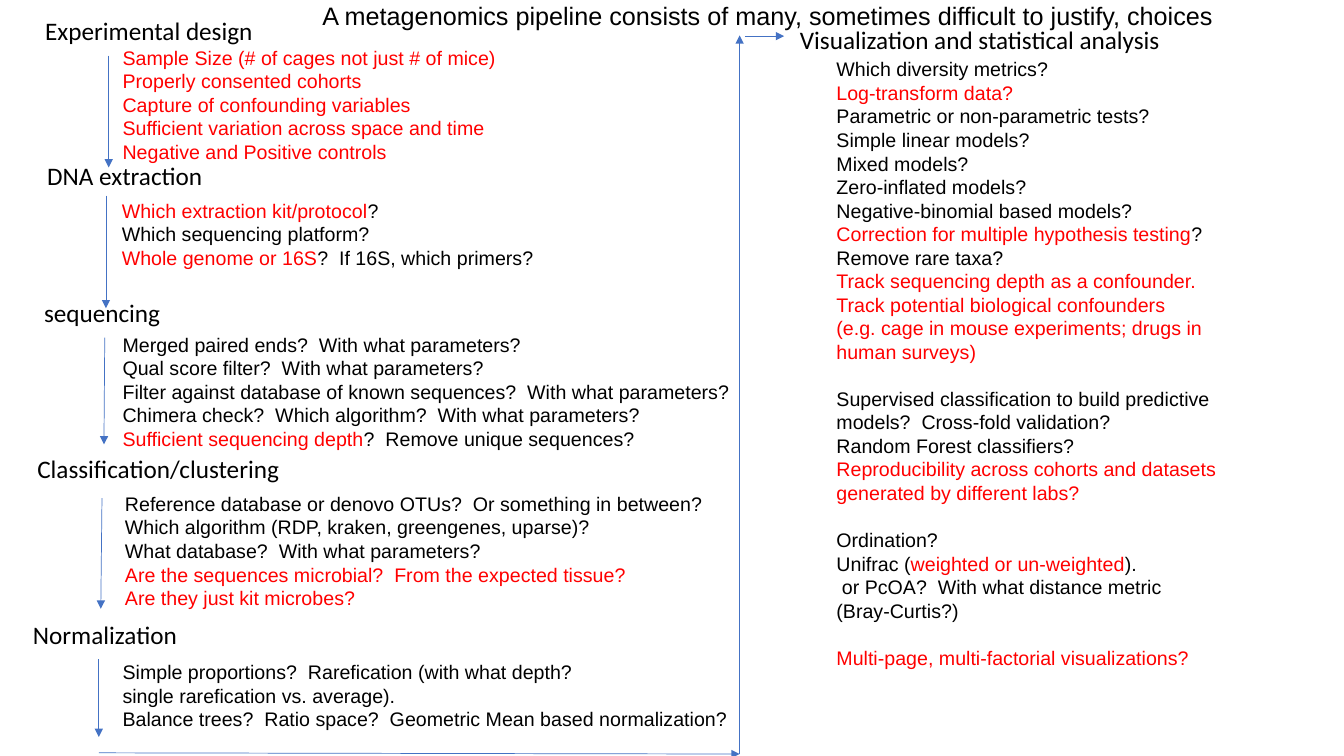
import dataclasses

import pptx
import pptx.dml.color
import pptx.enum.shapes
import pptx.enum.text
import pptx.oxml
import pptx.oxml.ns
import pptx.util

Cm = pptx.util.Cm
Pt = pptx.util.Pt


@dataclasses.dataclass(frozen=True)
class Theme:
    ink: str = "000000"
    accent: str = "FF0000"
    arrow: str = "4472C4"
    body_font: str = "Arial"
    heading_font: str = "Calibri"
    heading_size: float = 18
    body_size: float = 14
    body_leading: float = 16.8
    arrow_width: float = 0.5


THEME = Theme()
TITLE = "A metagenomics pipeline consists of many, sometimes difficult to justify, choices"

# Heading (text, left, top, width), arrow (from, to), choices (left, top, width), lines.
# Asterisks enclose highlighted words.
STEPS = [
    (("Experimental design", 0.89, 0.25, 5.79), (2.74, 1.4, 2.74, 4.22), (2.84, 1.02, 10.08), [
        "*Sample Size (# of cages not just # of mice)*",
        "*Properly consented cohorts*",
        "*Capture of confounding variables*",
        "*Sufficient variation across space and time*",
        "*Negative and Positive controls*"]),
    (("DNA extraction", 0.94, 3.91, 4.47), (2.67, 4.93, 2.67, 7.77), (2.82, 4.88, 10.92), [
        "*Which extraction kit/protocol*?",
        "Which sequencing platform?",
        "*Whole genome or 16S*?  If 16S, which primers?"]),
    (("sequencing", 0.86, 7.37, 3.48), (2.64, 8.51, 2.62, 11.2), (2.84, 8.26, 15.88), [
        "Merged paired ends?  With what parameters?",
        "Qual score filter?  With what parameters?",
        "Filter against database of known sequences?  With what parameters?",
        "Chimera check?  Which algorithm?  With what parameters?",
        "*Sufficient sequencing depth*?  Remove unique sequences?"]),
    (("Classification/clustering", 0.69, 11.3, 6.68), (2.57, 12.55, 2.54, 15.34), (2.9, 12.27, 15.14), [
        "Reference database or denovo OTUs?  Or something in between?",
        "Which algorithm (RDP, kraken, greengenes, uparse)?",
        "What database?  With what parameters?",
        "*Are the sequences microbial?  From the expected tissue?*",
        "*Are they just kit microbes?*"]),
    (("Normalization", 0.58, 15.47, 4.19), (2.49, 16.61, 2.49, 18.57), (2.84, 16.51, 15.82), [
        "Simple proportions?  Rarefication (with what depth?",
        "single rarefication vs. average).",
        "Balance trees?  Ratio space?  Geometric Mean based normalization?"]),
]

LINKS_TO_ANALYSIS = [
    (2.49, 18.97, 18.64, 19),
    (18.64, 19, 18.64, 0.89),
    (18.77, 0.91, 19.76, 0.91),
]

ANALYSIS_GROUPS = [
    ["Which diversity metrics?",
     "*Log-transform data?*",
     "Parametric or non-parametric tests?",
     "Simple linear models?",
     "Mixed models?",
     "Zero-inflated models?",
     "Negative-binomial based models?",
     "*Correction for multiple hypothesis testing*?",
     "Remove rare taxa?",
     "*Track sequencing depth as a confounder.*",
     "*Track potential biological confounders*",
     "*(e.g. cage in mouse experiments; drugs in*",
     "*human surveys)*"],
    ["Supervised classification to build predictive",
     "models?  Cross-fold validation?",
     "Random Forest classifiers?",
     "*Reproducibility across cohorts and datasets*",
     "*generated by different labs?*"],
    ["Ordination?",
     "Unifrac (*weighted or un-weighted*).",
     " or PcOA?  With what distance metric",
     "(Bray-Curtis?)"],
    ["*Multi-page, multi-factorial visualizations?*"],
]


def write_text(para, text, *, font, size, leading=1.0, before=0):
    """Fill a paragraph, colouring the words between asterisks."""
    para.alignment = pptx.enum.text.PP_ALIGN.LEFT
    para.line_spacing = leading
    para.space_before = Pt(before)
    for index, words in enumerate(text.split("*")):
        if words:
            span = para.add_run()
            span.text = words
            span.font.name = font
            span.font.size = Pt(size)
            colour = THEME.accent if index % 2 else THEME.ink
            span.font.color.rgb = pptx.dml.color.RGBColor.from_string(colour)


def prepare_frame(box, wrap=False):
    frame = box.text_frame
    frame.word_wrap = wrap
    frame.auto_size = pptx.enum.text.MSO_AUTO_SIZE.SHAPE_TO_FIT_TEXT
    frame.vertical_anchor = pptx.enum.text.MSO_ANCHOR.TOP
    return frame


def add_title(page):
    title = page.shapes.title
    title.left, title.top, title.width, title.height = Cm(7.87), Cm(-0.13), Cm(23.16), Cm(1.02)
    write_text(prepare_frame(title).paragraphs[0], TITLE,
               font=THEME.body_font, size=THEME.heading_size)


def add_heading(page, text, left, top, width):
    box = page.shapes.add_textbox(Cm(left), Cm(top), Cm(width), Cm(1.02))
    write_text(prepare_frame(box).paragraphs[0], text,
               font=THEME.heading_font, size=THEME.heading_size)


def add_choices(page, groups, left, top, width, wrap=False):
    """Add one box of lines, with a line's height between groups."""
    rows = sum(len(group) for group in groups) + len(groups) - 1
    box = page.shapes.add_textbox(Cm(left), Cm(top), Cm(width), Cm(0.25 + 0.6 * rows))
    frame = prepare_frame(box, wrap)
    para = frame.paragraphs[0]
    for group_index, group in enumerate(groups):
        for line_index, line in enumerate(group):
            if group_index or line_index:
                para = frame.add_paragraph()
            opens_group = group_index > 0 and line_index == 0
            write_text(para, line, font=THEME.body_font, size=THEME.body_size,
                       leading=Pt(THEME.body_leading),
                       before=THEME.body_leading if opens_group else 0)


def add_arrow(page, *ends):
    arrow = page.shapes.add_connector(
        pptx.enum.shapes.MSO_CONNECTOR.STRAIGHT, *(Cm(end) for end in ends))
    arrow.line.color.rgb = pptx.dml.color.RGBColor.from_string(THEME.arrow)
    arrow.line.width = Pt(THEME.arrow_width)
    head = pptx.oxml.parse_xml(
        f'<a:tailEnd {pptx.oxml.ns.nsdecls("a")} type="triangle"/>')
    arrow.line._get_or_add_ln().append(head)
    arrow._element.spPr.append(
        pptx.oxml.parse_xml(f'<a:effectLst {pptx.oxml.ns.nsdecls("a")}/>'))


def main():
    deck = pptx.Presentation()
    deck.slide_width, deck.slide_height = Cm(33.87), Cm(19.05)
    page = deck.slides.add_slide(deck.slide_layouts.get_by_name("Title Only"))
    add_title(page)
    for heading, arrow, place, lines in STEPS:
        add_heading(page, *heading)
        add_arrow(page, *arrow)
        add_choices(page, [lines], *place)
    for link in LINKS_TO_ANALYSIS:
        add_arrow(page, *link)
    add_heading(page, "Visualization and statistical analysis", 19.91, 0.48, 9.68)
    add_choices(page, ANALYSIS_GROUPS, 20.83, 1.32, 12.8, wrap=True)
    deck.save("out.pptx")


if __name__ == "__main__":
    main()
